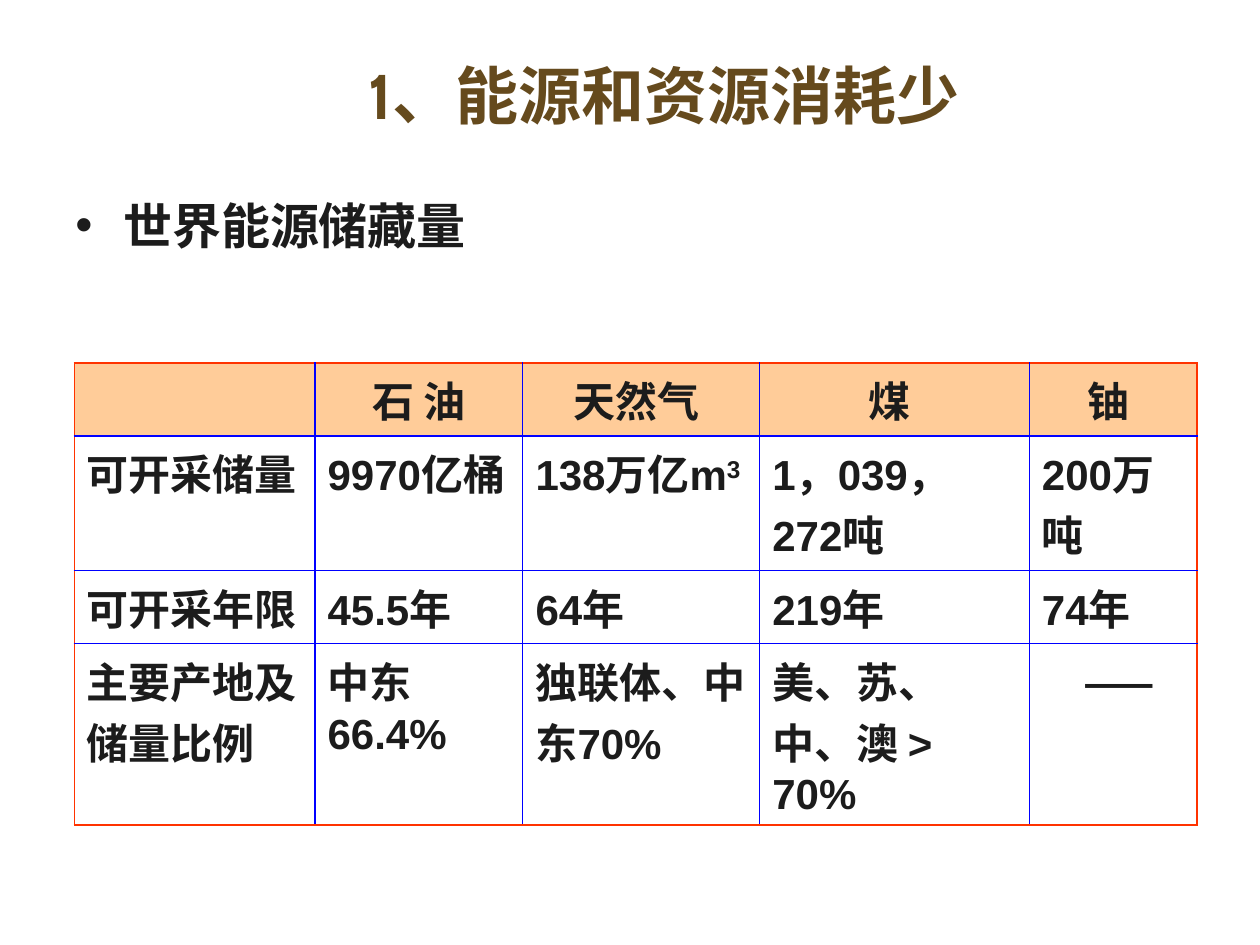
from lxml import etree
from pptx import Presentation
from pptx.dml.color import RGBColor
from pptx.enum.text import MSO_ANCHOR, PP_ALIGN
from pptx.oxml.ns import qn
from pptx.util import Inches, Pt

COLORS = {"title": "654A1D", "text": "1C1C1C", "header": "FFCC99",
          "frame": "FF3300", "grid": "0000FF"}


def style(paragraph, size, color, face="Arial"):
    font = paragraph.font
    font.name, font.size, font.bold = face, Pt(size), True
    font.color.rgb = RGBColor.from_string(COLORS[color])


def add_border(cell, side, is_frame):
    """Draw one cell edge; side is L, R, T or B."""
    line = etree.SubElement(cell._tc.get_or_add_tcPr(), qn(f"a:ln{side}"),
                            w=str(Pt(1.08 if is_frame else 0.75)))
    fill = etree.SubElement(line, qn("a:solidFill"))
    etree.SubElement(fill, qn("a:srgbClr"), val=COLORS["frame" if is_frame else "grid"])


prs = Presentation()
prs.slide_width, prs.slide_height = Inches(10), Inches(7.5)
slide = prs.slides.add_slide(prs.slide_layouts[6])

title = slide.shapes.add_textbox(Inches(2.83), Inches(0.1), Inches(6.58), Inches(1.3)).text_frame
title.word_wrap = True
title.vertical_anchor = MSO_ANCHOR.MIDDLE
title.text = "1、能源和资源消耗少"
style(title.paragraphs[0], 36, "title", "Cabin")

body = slide.shapes.add_textbox(Inches(0.5), Inches(1.5), Inches(8.92), Inches(2.42)).text_frame
body.word_wrap = True
body.text = "世界能源储藏量"
topic = body.paragraphs[0]
props = topic._p.get_or_add_pPr()
props.set("marL", str(Inches(0.38)))
props.set("indent", str(Inches(-0.38)))
etree.SubElement(props, qn("a:buFont"), typeface="Arial")
etree.SubElement(props, qn("a:buChar"), char="•")
style(topic, 28, "text")

rows = [
    ["", "石 油", "天然气 ", "煤 ", "铀 "],
    ["可开采储量", "9970亿桶", "138万亿m", "1，039，272吨", "200万吨"],
    ["可开采年限", "45.5年", "64年", "219年", "74年"],
    ["主要产地及储量比例", "中东66.4%", "独联体、中东70%", "美、苏、中、澳 > 70%", "　——"],
]
col_widths = [1.91, 1.65, 1.88, 2.14, 1.33]
row_heights = [0.58, 1.07, 0.58, 1.44]
reserves = slide.shapes.add_table(len(rows), len(col_widths), Inches(0.59), Inches(2.88),
                                  Inches(sum(col_widths)), Inches(sum(row_heights))).table
for column, width in zip(reserves.columns, col_widths):
    column.width = Inches(width)
for row, height in zip(reserves.rows, row_heights):
    row.height = Inches(height)

last_row, last_col = len(rows) - 1, len(col_widths) - 1
for r, values in enumerate(rows):
    for c, value in enumerate(values):
        cell = reserves.cell(r, c)
        cell.text = value
        paragraph = cell.text_frame.paragraphs[0]
        paragraph.alignment = PP_ALIGN.LEFT if r else PP_ALIGN.CENTER
        paragraph._p.get_or_add_pPr().set("hangingPunct", "0")
        if value.endswith("m"):
            exponent = paragraph.add_run()
            exponent.text = "3"
            exponent.font._element.set("baseline", "30000")
        style(paragraph, 24, "text")
        for side, is_frame in (("L", c == 0), ("R", c == last_col),
                               ("T", r == 0), ("B", r == last_row)):
            add_border(cell, side, is_frame)
        if r == 0:
            cell.fill.solid()
            cell.fill.fore_color.rgb = RGBColor.from_string(COLORS["header"])
        else:
            cell.fill.background()

prs.save("out.pptx")
